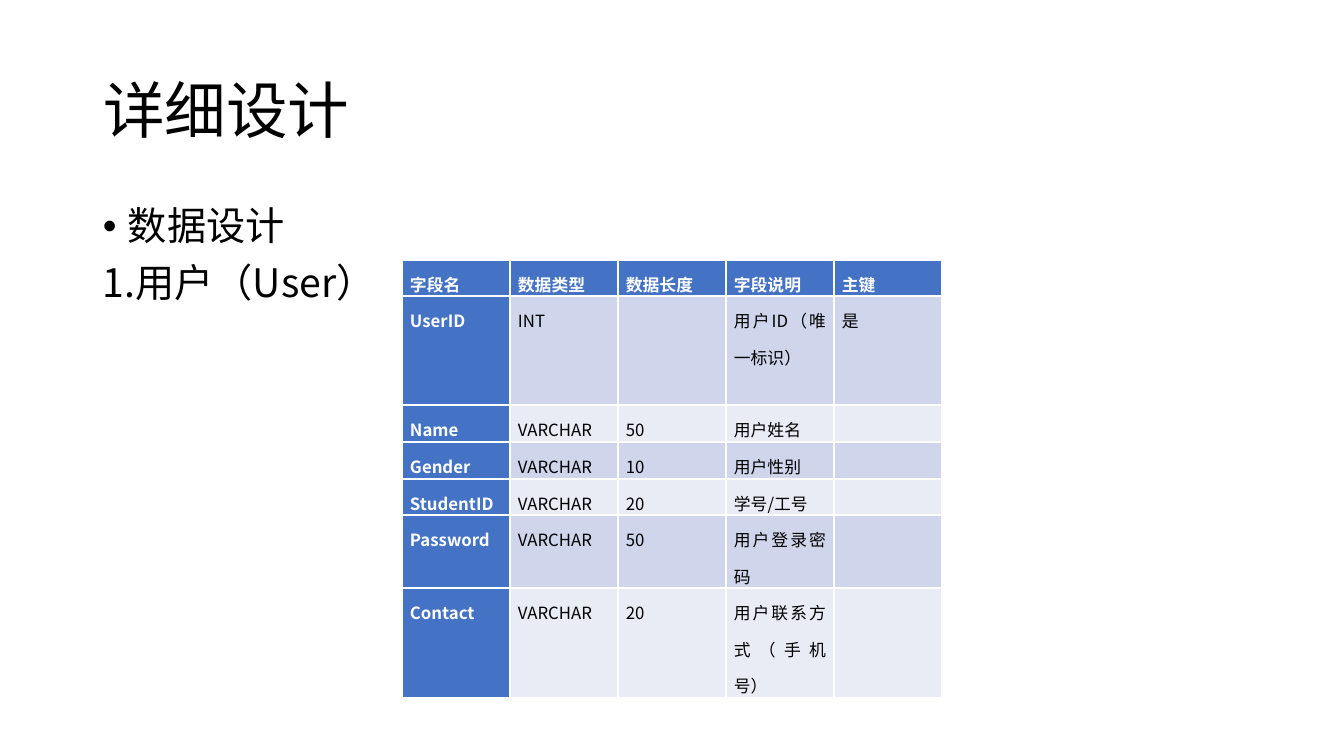
import pptx
import pptx.util
import pptx.dml.color
import pptx.enum.text
import pptx.oxml.ns
from lxml import etree

PX = 914400 / 100.8
THEME = {
    "face": "Noto Sans CJK SC",
    "ink": "000000", "white": "FFFFFF", "head": "4472C4",
    "bands": ["CFD5EA", "E9EBF5"],
    "title": 44, "body": 28, "cell": 12,
}
ROWS = [
    ["字段名", "数据类型", "数据长度", "字段说明", "主键"],
    ["UserID", "INT", "", "用户ID（唯一标识）", "是"],
    ["Name", "VARCHAR", "50", "用户姓名", ""],
    ["Gender", "VARCHAR", "10", "用户性别", ""],
    ["StudentID", "VARCHAR", "20", "学号/工号", ""],
    ["Password", "VARCHAR", "50", "用户登录密码", ""],
    ["Contact", "VARCHAR", "20", "用户联系方式（手机号）", ""],
]
HEIGHTS = [36, 109, 37, 37, 36, 73, 110]
COL = 108
ALIGN = pptx.enum.text.PP_ALIGN
ANCHOR = pptx.enum.text.MSO_ANCHOR


def place(shape, *box):
    """Set left, top, width and height in px."""
    for name, size in zip(("left", "top", "width", "height"), box):
        setattr(shape, name, round(size * PX))


def write(para, text, size, color, bold=False, **form):
    """Add a run in the theme face for Latin and Chinese text."""
    for name, value in form.items():
        setattr(para, name, value)
    run = para.add_run()
    run.text = text
    look = {"name": THEME["face"], "size": pptx.util.Pt(size), "bold": bold}
    for name, value in look.items():
        setattr(run.font, name, value)
    run.font.color.rgb = pptx.dml.color.RGBColor.from_string(color)
    face = etree.SubElement(run.font._element, pptx.oxml.ns.qn("a:ea"))
    face.set("typeface", THEME["face"])


deck = pptx.Presentation()
deck.slide_width = round(1344 * PX)
deck.slide_height = round(756 * PX)
slide = deck.slides.add_slide(deck.slide_layouts[5])

title = slide.shapes.title
place(title, 93, 41, 1159, 146)
title.text_frame.vertical_anchor = ANCHOR.MIDDLE
write(title.text_frame.paragraphs[0], "详细设计", THEME["title"], THEME["ink"],
      alignment=ALIGN.LEFT, line_spacing=0.9)

body = slide.shapes.add_textbox(0, 0, 0, 0)
place(body, 93, 202, 1159, 480)
frame = body.text_frame
frame.word_wrap = True
topic = frame.paragraphs[0]
for para, text in [(topic, "数据设计"), (frame.add_paragraph(), "1.用户（User）")]:
    write(para, text, THEME["body"], THEME["ink"],
          line_spacing=0.9, space_before=pptx.util.Pt(10))
props = topic._p.get_or_add_pPr()
props.set("marL", str(round(25 * PX)))
props.set("indent", str(round(-25 * PX)))
for tag, key, value in [("a:buFont", "typeface", "Arial"), ("a:buChar", "char", "•")]:
    etree.SubElement(props, pptx.oxml.ns.qn(tag)).set(key, value)

# The default table style draws the white grid and the thick line under the header.
holder = slide.shapes.add_table(len(ROWS), len(ROWS[0]), 0, 0, 0, 0)
place(holder, 402, 260, COL * len(ROWS[0]), sum(HEIGHTS))
table = holder.table
table.first_col = True
for col in table.columns:
    col.width = round(COL * PX)

inset = round(8 * PX)
margins = {"margin_left": inset, "margin_right": inset,
           "margin_top": 0, "margin_bottom": 0}
for r, texts in enumerate(ROWS):
    table.rows[r].height = round(HEIGHTS[r] * PX)
    for c, text in enumerate(texts):
        cell = table.cell(r, c)
        head = r == 0 or c == 0
        for name, value in margins.items():
            setattr(cell, name, value)
        write(cell.text_frame.paragraphs[0], text, THEME["cell"],
              THEME["white"] if head else THEME["ink"], head,
              alignment=ALIGN.JUSTIFY, line_spacing=1.5)
        cell.fill.solid()
        fill = THEME["head"] if head else THEME["bands"][(r - 1) % 2]
        cell.fill.fore_color.rgb = pptx.dml.color.RGBColor.from_string(fill)

deck.save("out.pptx")
